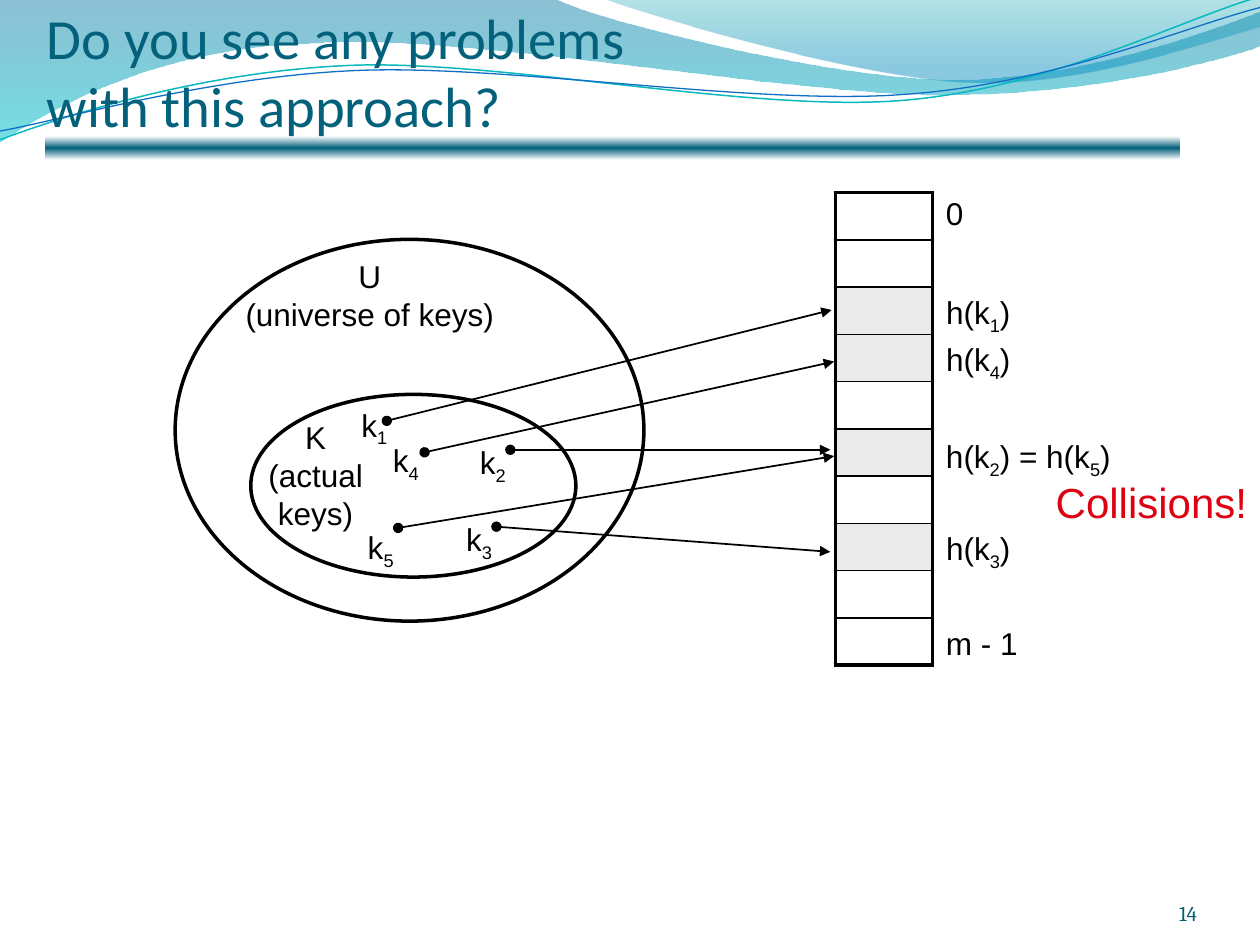
"""Build a slide showing how hashing keys into a table leads to collisions."""
from dataclasses import dataclass

from lxml.etree import SubElement
from pptx import Presentation
from pptx.dml.color import RGBColor
from pptx.enum.shapes import MSO_CONNECTOR as Connector, MSO_SHAPE as Shape
from pptx.enum.text import MSO_ANCHOR as Anchor, MSO_AUTO_SIZE as AutoSize, PP_ALIGN as Align
from pptx.oxml.ns import qn
from pptx.util import Inches, Pt


@dataclass(frozen=True)
class Theme:
    title_font: str = "Calibri"
    body_font: str = "Arial"
    number_font: str = "Cambria"
    title: str = "04617B"
    number: str = "045D75"
    ink: str = "000000"
    alert: str = "DD0111"
    used_slot: str = "EAEAEA"
    title_size: float = 32.4
    body_size: float = 18
    alert_size: float = 24
    number_size: float = 12
    thin: float = 1
    outline: float = 2
    frame: float = 2.25


THEME = Theme()
TITLE = "Do you see any problems \vwith this approach?"
PAGE_NUMBER = "14"

BANDS = [
    ([(0, 0), (4.4, -0.01), (4.76, 0.17, 6.64, 0.63, 7.58, 0.63), (8.53, 0.63, 9.58, 0.26, 10, 0.09),
      (10.01, 0.36), (9.83, 0.44, 8.7, 0.76, 7.46, 0.75), (6.22, 0.75, 3.82, 0.28, 2.57, 0.34),
      (1.29, 0.36, 0.46, 0.83, -0.01, 1.13), (0, 0)],
     [(0, "0074A1", 45), (100, "00C6CF", 55)]),
    ([(4.79, -0.01), (5.09, 0.11, 6.82, 0.62, 7.69, 0.65), (8.56, 0.69, 9.61, 0.32, 10, 0.21),
      (10, 0), (4.79, -0.01)],
     [(0, "00A1A9", 30), (80, "008BBF", 45)]),
]
WAVES = [
    ([(0, 1.11), (0.48, 0.93, 1.58, 0.57, 2.77, 0.52), (3.95, 0.47, 5.93, 0.89, 7.13, 0.8),
      (8.33, 0.71, 9.38, 0.15, 9.98, -0.02)], "0AB8BF", 0.85),
    ([(0, 1.04), (0.47, 0.96, 1.64, 0.61, 2.83, 0.56), (4.03, 0.51, 5.97, 0.84, 7.17, 0.75),
      (8.36, 0.67, 9.41, 0.21, 10, 0.06)], "0F6FC6", 0.75),
]
RULE_STOPS = [(0, "FFFFFF", 100), (50, THEME.title, 100), (100, "FFFFFF", 100)]

SLOT_COUNT = 10
USED_SLOTS = {2, 3, 5, 7}
TABLE_BOX = (6.63, 1.53, 0.77, 3.75)
SETS = [(1.39, 1.9, 3.72, 3.03), (1.99, 3.13, 2.58, 1.45)]
SET_LABELS = [
    ("U\n(universe of keys)", (1.85, 1.99, 2.17, 0.7)),
    ("K\n(actual\nkeys)", (2.03, 3.27, 0.95, 1)),
]
SLOT_LABEL_LEFT = 7.41
SLOT_LABELS = [
    ("0", 1.49, 0.34), ("m - 1", 4.9, 0.77), ("h(k_3)", 4.15, 0.72),
    ("h(k_2) = h(k_5)", 3.42, 1.6), ("h(k_1)", 2.28, 0.72), ("h(k_4)", 2.65, 0.72),
]
KEYS = [
    ("k_1", (2.77, 3.17), (3.07, 3.34), (6.6, 2.46)),
    ("k_4", (3.02, 3.45), (3.37, 3.59), (6.62, 2.87)),
    ("k_2", (3.71, 3.47), (4.05, 3.57), (6.59, 3.57)),
    ("k_5", (2.82, 4.14), (3.16, 4.19), (6.62, 3.62)),
    ("k_3", (3.6, 4.08), (3.94, 4.18), (6.59, 4.38)),
]


def lengths(values):
    return [Inches(value) for value in values]


def add_curve(slide, outline, close):
    anchors = [lengths(segment[-2:]) for segment in outline]
    builder = slide.shapes.build_freeform(*anchors[0])
    builder.add_line_segments(anchors[1:], close=close)
    curve = builder.convert_to_shape()
    curve.shadow.inherit = False
    straights = list(curve._element.iter(qn("a:lnTo")))
    for straight, segment in zip(straights, outline[1:]):
        if len(segment) == 6:
            bend = SubElement(straight.getparent(), qn("a:cubicBezTo"))
            for x, y in zip(lengths(segment[::2]), lengths(segment[1::2])):
                SubElement(bend, qn("a:pt"), x=str(x - curve.left), y=str(y - curve.top))
            straight.getparent().replace(straight, bend)
    return curve


def set_line(line, color, width):
    line.color.rgb = RGBColor.from_string(color)
    line.width = Pt(width)


def set_gradient(shape, stops):
    shape.line.fill.background()
    shape.fill.gradient()
    shape.fill.gradient_angle = 270
    stop_list = shape._element.spPr.find(".//" + qn("a:gsLst"))
    for stop in list(stop_list):
        stop_list.remove(stop)
    for position, color, alpha in stops:
        stop = SubElement(stop_list, qn("a:gs"), pos=str(position * 1000))
        tint = SubElement(stop, qn("a:srgbClr"), val=color)
        if alpha < 100:
            SubElement(tint, qn("a:alpha"), val=str(alpha * 1000))


def style(font, name, size, color):
    font.name, font.size = name, Pt(size)
    font.color.rgb = RGBColor.from_string(color)


def add_label(slide, text, box, align=Align.LEFT, size=THEME.body_size, color=THEME.ink):
    frame = slide.shapes.add_textbox(*lengths(box)).text_frame
    frame.word_wrap = False
    frame.auto_size = AutoSize.SHAPE_TO_FIT_TEXT
    for index, line in enumerate(text.split("\n")):
        para = frame.add_paragraph() if index else frame.paragraphs[0]
        para.alignment = align
        first, *others = line.split("_")
        pieces = [(first, False)]
        for other in others:
            pieces += [(other[0], True), (other[1:], False)]
        for piece, lowered in pieces:
            if piece:
                span = para.add_run()
                span.text = piece
                style(span.font, THEME.body_font, size, color)
                if lowered:
                    span.font._element.set("baseline", "-25000")


def add_background(slide):
    for outline, stops in BANDS:
        set_gradient(add_curve(slide, outline, True), stops)
    for outline, color, width in WAVES:
        wave = add_curve(slide, outline, False)
        wave.fill.background()
        set_line(wave.line, color, width)
    rule = slide.shapes.add_shape(Shape.ROUNDED_RECTANGLE, *lengths((0.36, 1.08, 9.01, 0.19)))
    rule.shadow.inherit = False
    set_gradient(rule, RULE_STOPS)


def add_title(slide):
    title = slide.shapes.title
    slide.shapes._spTree.append(title._element)
    title.left, title.top, title.width, title.height = lengths((0.37, 0.11, 9, 0.99))
    frame = title.text_frame
    frame.text = TITLE
    frame.auto_size = AutoSize.NONE
    frame.vertical_anchor = Anchor.BOTTOM
    frame.margin_left = frame.margin_right = frame.margin_bottom = 0
    para = frame.paragraphs[0]
    para.alignment = Align.LEFT
    for span in para.runs:
        style(span.font, THEME.title_font, THEME.title_size, THEME.title)


def add_slots(slide):
    table = slide.shapes.add_table(SLOT_COUNT, 1, *lengths(TABLE_BOX)).table
    table.first_row = table.horz_banding = False
    for index in range(SLOT_COUNT):
        table.rows[index].height = Inches(TABLE_BOX[3] / SLOT_COUNT)
        cell = table.cell(index, 0)
        cell.margin_top = cell.margin_bottom = 0
        top = THEME.frame if index == 0 else THEME.thin
        bottom = THEME.frame if index == SLOT_COUNT - 1 else THEME.thin
        for side, width in zip("LRTB", (THEME.frame, THEME.frame, top, bottom)):
            border = SubElement(cell._tc.get_or_add_tcPr(), qn(f"a:ln{side}"), w=str(Pt(width)))
            SubElement(SubElement(border, qn("a:solidFill")), qn("a:srgbClr"), val=THEME.ink)
        if index in USED_SLOTS:
            cell.fill.solid()
            cell.fill.fore_color.rgb = RGBColor.from_string(THEME.used_slot)
        else:
            cell.fill.background()


def add_arrow(slide, start, end):
    arrow = slide.shapes.add_connector(Connector.STRAIGHT, *lengths(start + end))
    set_line(arrow.line, THEME.ink, THEME.thin)
    line = arrow.line._get_or_add_ln()
    SubElement(line, qn("a:headEnd"), type="oval")
    SubElement(line, qn("a:tailEnd"), type="triangle")
    SubElement(arrow._element.spPr, qn("a:effectLst"))


def add_page_number(slide):
    frame = slide.shapes.add_textbox(*lengths((7.17, 7, 2.33, 0.35))).text_frame
    frame.text = PAGE_NUMBER
    frame.word_wrap = True
    frame.vertical_anchor = Anchor.BOTTOM
    frame.margin_left = frame.margin_right = frame.margin_top = frame.margin_bottom = 0
    para = frame.paragraphs[0]
    para.alignment = Align.RIGHT
    style(para.runs[0].font, THEME.number_font, THEME.number_size, THEME.number)


def main():
    deck = Presentation()
    deck.slide_width, deck.slide_height = Inches(10), Inches(7.5)
    slide = deck.slides.add_slide(deck.slide_layouts[5])
    add_background(slide)
    add_title(slide)
    add_slots(slide)
    add_page_number(slide)
    for box in SETS:
        oval = slide.shapes.add_shape(Shape.OVAL, *lengths(box))
        oval.shadow.inherit = False
        oval.fill.background()
        set_line(oval.line, THEME.ink, THEME.outline)
    for text, box in SET_LABELS:
        add_label(slide, text, box, Align.CENTER)
    for text, top, width in SLOT_LABELS:
        add_label(slide, text, (SLOT_LABEL_LEFT, top, width, 0.4))
    for _, _, start, end in KEYS:
        add_arrow(slide, start, end)
    for text, corner, _, _ in KEYS:
        add_label(slide, text, corner + (0.42, 0.4))
    add_label(slide, "Collisions!", (8.28, 3.73, 1.72, 0.5), size=THEME.alert_size, color=THEME.alert)
    deck.save("out.pptx")


if __name__ == "__main__":
    main()
